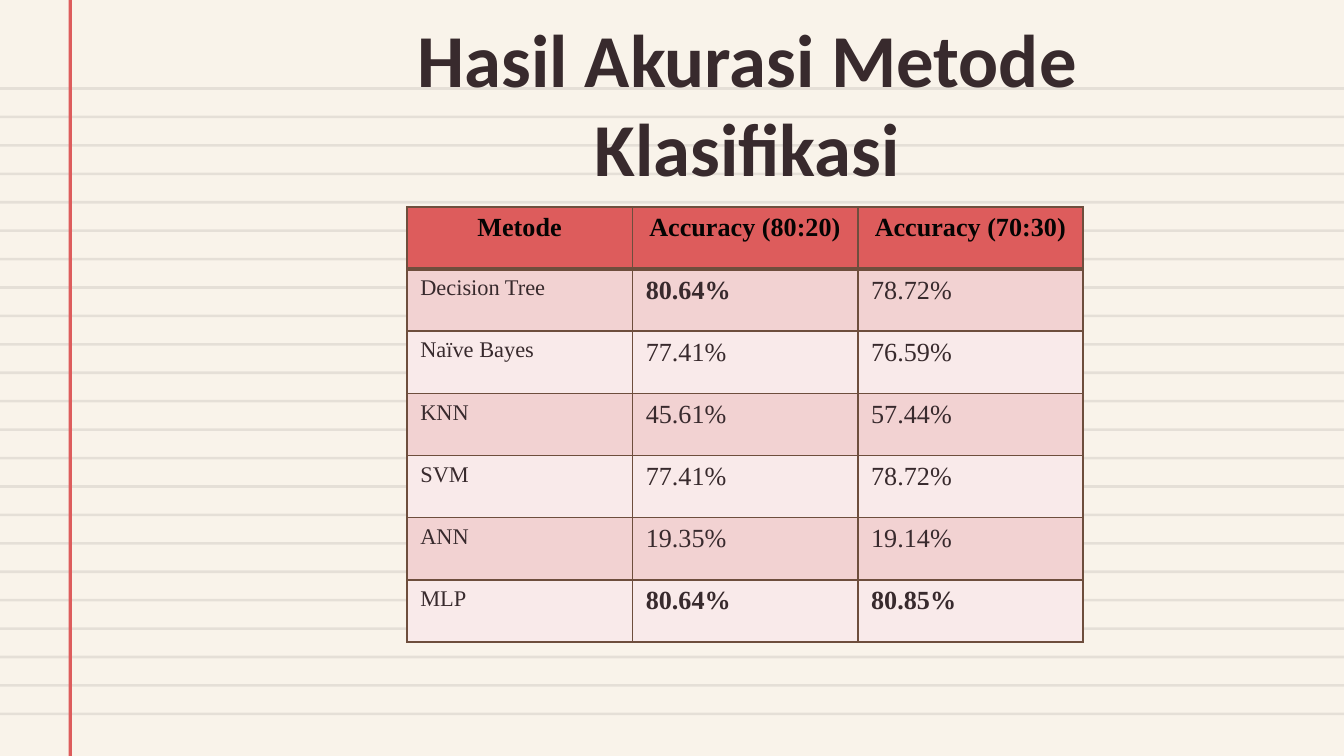
from pptx import Presentation
from pptx.dml.color import RGBColor
from pptx.enum.shapes import MSO_SHAPE
from pptx.enum.text import MSO_ANCHOR, MSO_AUTO_SIZE, PP_ALIGN
from pptx.oxml.ns import qn
from pptx.util import Cm, Pt
from lxml import etree

RECTANGLE = MSO_SHAPE.RECTANGLE
MIDDLE = MSO_ANCHOR.MIDDLE
NO_AUTOFIT = MSO_AUTO_SIZE.NONE
LEFT, CENTER = PP_ALIGN.LEFT, PP_ALIGN.CENTER

PAPER = RGBColor(0xF9, 0xF3, 0xEA)
BLACK = RGBColor(0, 0, 0)
RED = RGBColor(0xDD, 0x5C, 0x5C)
INK = RGBColor(0x38, 0x2A, 0x2D)
HEADER_INK = RGBColor(0x05, 0x04, 0x03)
BORDER = RGBColor(0x6E, 0x4E, 0x3D)
BANDS = (RGBColor(0xF2, 0xD2, 0xD2), RGBColor(0xF9, 0xEA, 0xEA))

WIDTH, HEIGHT = 25.4, 14.29
RULE_COUNT, FIRST_RULE, LAST_RULE = 23, 1.65, 13.47

ROWS = [
    ("Metode", "Accuracy (80:20)", "Accuracy (70:30)"),
    ("Decision Tree", "80.64%", "78.72%"),
    ("Naïve Bayes", "77.41%", "76.59%"),
    ("KNN", "45.61%", "57.44%"),
    ("SVM", "77.41%", "78.72%"),
    ("ANN", "19.35%", "19.14%"),
    ("MLP", "80.64%", "80.85%"),
]
BEST = {(1, 1), (6, 1), (6, 2)}


def add_bar(s, left, top, width, height, color, alpha=None):
    """Add a thin filled bar, with opacity in percent if given."""
    sp = s.shapes.add_shape(RECTANGLE, Cm(left), Cm(top), Cm(width), Cm(height))
    sp.shadow.inherit = False
    sp.line.fill.background()
    sp.fill.solid()
    sp.fill.fore_color.rgb = color
    if alpha is not None:
        clr = sp.fill._xPr.find(".//" + qn("a:srgbClr"))
        etree.SubElement(clr, qn("a:alpha"), val=str(alpha * 1000))


def write_text(tf, text, align, color, **font):
    p = tf.paragraphs[0]
    p.alignment = align
    r = p.add_run()
    r.text = text
    r.font.color.rgb = color
    for name, value in font.items():
        setattr(r.font, name, value)


def set_borders(cell, widths):
    """Draw the cell's sides; widths maps each side to points."""
    tc_pr = cell._tc.get_or_add_tcPr()
    for side, width in widths.items():
        ln = etree.SubElement(tc_pr, qn("a:ln" + side), w=str(Pt(width)))
        fill = etree.SubElement(ln, qn("a:solidFill"))
        etree.SubElement(fill, qn("a:srgbClr"), val=str(BORDER))


def add_paper(s):
    s.background.fill.solid()
    s.background.fill.fore_color.rgb = PAPER
    pitch = (LAST_RULE - FIRST_RULE) / (RULE_COUNT - 1)
    for i in range(RULE_COUNT):
        add_bar(s, 0, FIRST_RULE + i * pitch, WIDTH, 0.05, BLACK, alpha=8)
    add_bar(s, 1.3, 0, 0.06, HEIGHT, RED)


def add_title(s, text):
    sp = s.shapes.title
    sp.left, sp.top, sp.width, sp.height = Cm(6.38), Cm(1.22), Cm(15.49), Cm(1.42)
    tf = sp.text_frame
    frame = {"word_wrap": True, "auto_size": NO_AUTOFIT, "vertical_anchor": MIDDLE}
    frame.update({"margin_" + side: Cm(0.25)
                  for side in ("left", "top", "right", "bottom")})
    for name, value in frame.items():
        setattr(tf, name, value)
    write_text(tf, text, CENTER, INK, name="Calibri", size=Pt(40), bold=True)
    # Bring the title in front of the paper lines
    s.shapes._spTree.append(sp._element)


def add_accuracy_table(s):
    table = s.shapes.add_table(len(ROWS), len(ROWS[0]), Cm(7.69), Cm(3.91),
                               Cm(12.78), Cm(8.23)).table
    table.horz_banding = False
    for i, row in enumerate(ROWS):
        header = i == 0
        for j, text in enumerate(row):
            cell = table.cell(i, j)
            set_borders(cell, {"L": 1, "R": 1, "T": 3 if i == 1 else 1,
                               "B": 3 if header else 1})
            cell.fill.solid()
            cell.fill.fore_color.rgb = RED if header else BANDS[(i - 1) % 2]
            write_text(cell.text_frame, text, CENTER if header else LEFT,
                       HEADER_INK if header else INK,
                       name="Times New Roman",
                       size=Pt(14 if header or j else 12),
                       bold=header or (i, j) in BEST)


def main():
    prs = Presentation()
    prs.slide_width, prs.slide_height = Cm(WIDTH), Cm(HEIGHT)
    s = prs.slides.add_slide(prs.slide_layouts[5])
    add_paper(s)
    add_title(s, "Hasil Akurasi Metode Klasifikasi")
    add_accuracy_table(s)
    prs.save("out.pptx")


if __name__ == "__main__":
    main()
